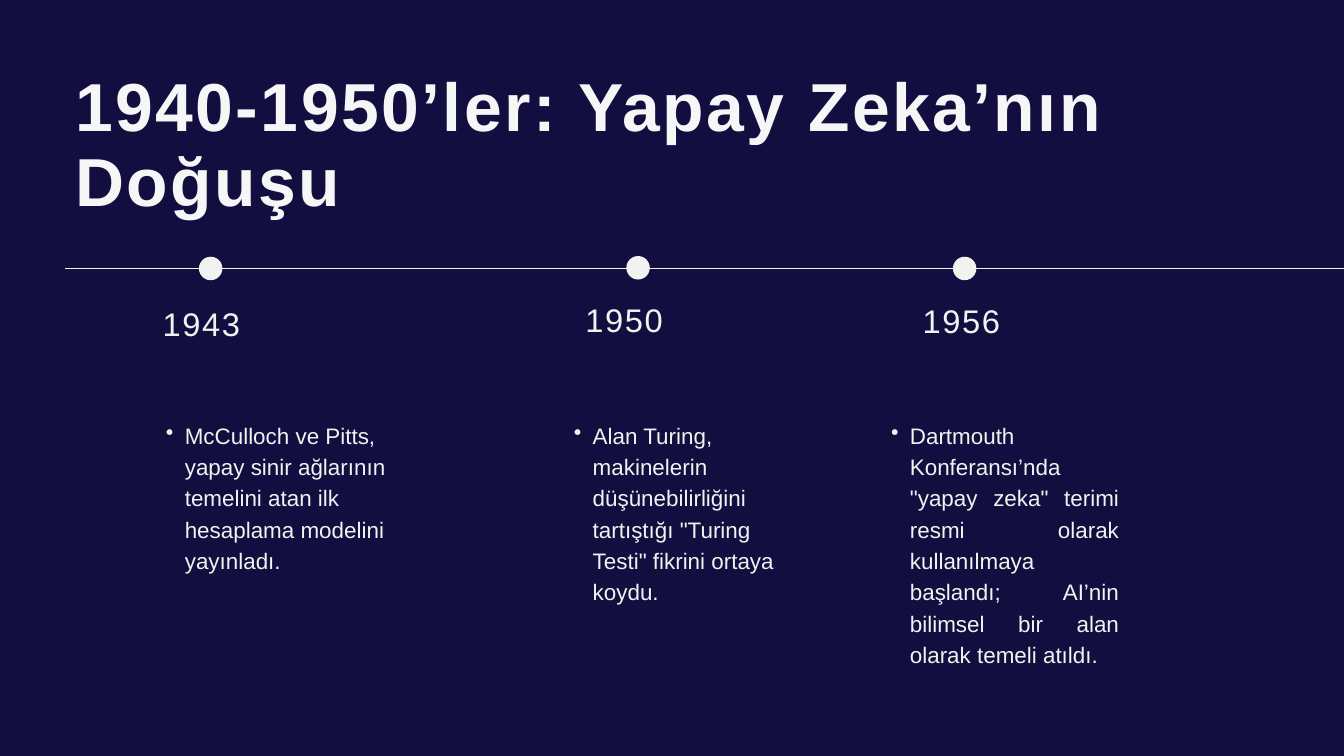
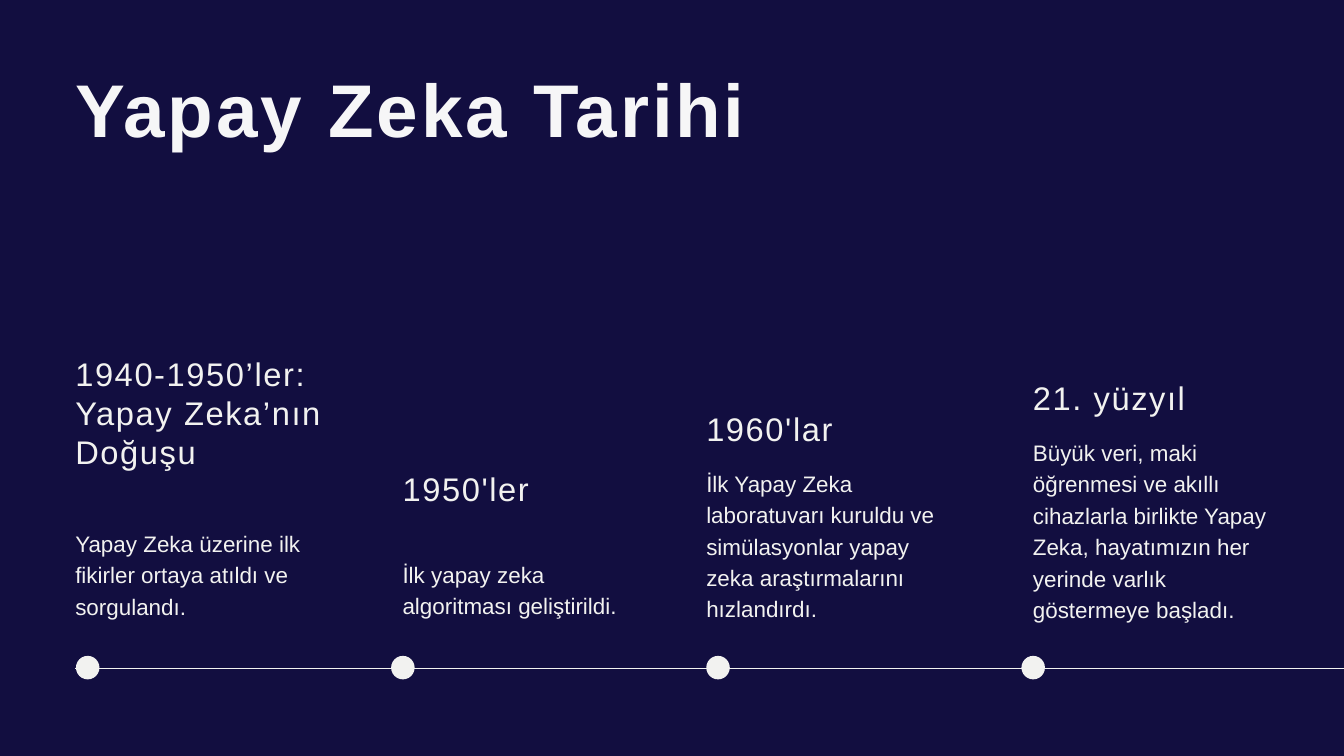
import pptx
import pptx.util
import pptx.dml.color
import pptx.enum.shapes
import pptx.enum.text
import pptx.oxml.ns
import lxml.etree

Inches = pptx.util.Inches
Pt = pptx.util.Pt
RGBColor = pptx.dml.color.RGBColor
Align = pptx.enum.text.PP_ALIGN

NAVY = RGBColor(0x12, 0x0E, 0x40)
TITLE_WHITE = RGBColor(0xF6, 0xF6, 0xF7)
SOFT_WHITE = RGBColor(0xF2, 0xF2, 0xF0)
DOT_SIZE = 0.35
COLUMN_WIDTH = 3.68
MARGIN = 1.12

HEADING = {"size": 35, "leading": 42, "tracking": 1.7}
BODY = {"size": 24, "leading": 33.6}

BIRTH_EVENTS = [
    {"year": "1943", "dot": (2.96, 3.82), "year_at": (2.42, 4.52),
     "body_left": 2.18, "height": 2.79, "align": Align.LEFT,
     "body": "McCulloch ve Pitts, yapay sinir ağlarının temelini atan ilk "
             "hesaplama modelini yayınladı."},
    {"year": "1950", "dot": (9.32, 3.81), "year_at": (8.71, 4.46),
     "body_left": 8.25, "height": 2.79, "align": Align.LEFT,
     "body": "Alan Turing, makinelerin düşünebilirliğini tartıştığı "
             "\"Turing Testi\" fikrini ortaya koydu."},
    {"year": "1956", "dot": (14.18, 3.82), "year_at": (13.73, 4.48),
     "body_left": 12.97, "height": 3.7, "align": Align.JUSTIFY,
     "body": "Dartmouth Konferansı’nda \"yapay zeka\" terimi resmi olarak "
             "kullanılmaya başlandı; AI’nin bilimsel bir alan olarak temeli atıldı."},
]

ERAS = [
    {"name": "1940-1950’ler: Yapay Zeka’nın Doğuşu", "left": 1.12,
     "name_top": 5.26, "name_height": 2.36, "body_height": 1.41,
     "body": ["Yapay Zeka üzerine ilk fikirler ortaya atıldı ve sorgulandı."]},
    {"name": "1950'ler", "left": 5.99,
     "name_top": 6.98, "name_height": 0.65, "body_height": 0.95,
     "body": ["İlk yapay zeka algoritması geliştirildi."]},
    {"name": "1960'lar", "left": 10.51,
     "name_top": 6.08, "name_height": 0.63, "body_height": 2.3,
     "body": ["İlk Yapay Zeka laboratuvarı kuruldu ve simülasyonlar yapay zeka "
              "araştırmalarını hızlandırdı."]},
    {"name": "21. yüzyıl", "left": 15.37,
     "name_top": 5.62, "name_height": 0.63, "body_height": 2.76,
     "body": ["Büyük veri, maki öğrenmesi ve akıllı cihazlarla birlikte Yapay "
              "Zeka, hayatımızın her yerinde varlık", "göstermeye başladı."]},
]


def apply_format(target, values):
    """Set each named attribute on the target."""
    for name, value in values.items():
        setattr(target, name, value)


def add_bullet(para):
    """Give a paragraph a hanging round bullet."""
    properties = para._p.get_or_add_pPr()
    properties.set("marL", str(Inches(0.57)))
    properties.set("indent", str(Inches(-0.28)))
    bullet = lxml.etree.SubElement(properties, pptx.oxml.ns.qn("a:buChar"))
    bullet.set("char", "•")


def add_text(page, frame, lines, size, leading, tracking=0, color=SOFT_WHITE,
             bold=False, align=Align.LEFT, bulleted=False):
    """Place a margin-free text box with one paragraph per line."""
    box = page.shapes.add_textbox(*map(Inches, frame))
    text = box.text_frame
    apply_format(text, {
        "word_wrap": True, "margin_left": 0, "margin_right": 0,
        "margin_top": 0, "margin_bottom": 0,
        "auto_size": pptx.enum.text.MSO_AUTO_SIZE.SHAPE_TO_FIT_TEXT})
    for index, line in enumerate(lines):
        para = text.add_paragraph() if index else text.paragraphs[0]
        if bulleted:
            add_bullet(para)
        apply_format(para, {"alignment": align, "line_spacing": Pt(leading)})
        span = para.add_run()
        span.text = line
        apply_format(span.font, {"name": "Arial", "size": Pt(size), "bold": bold})
        span.font.color.rgb = color
        if tracking:
            span._r.get_or_add_rPr().set("spc", str(round(tracking * 100)))


def add_axis(page, left, top):
    """Draw the timeline from the given point to the right edge."""
    axis = page.shapes.add_connector(
        pptx.enum.shapes.MSO_CONNECTOR.STRAIGHT,
        Inches(left), Inches(top), Inches(20), Inches(top))
    axis.line.color.rgb = SOFT_WHITE
    axis.line.width = Pt(0.75)
    lxml.etree.SubElement(axis._element.spPr, pptx.oxml.ns.qn("a:effectLst"))


def add_dot(page, left, top):
    """Draw one timeline marker."""
    dot = page.shapes.add_shape(
        pptx.enum.shapes.MSO_SHAPE.OVAL,
        *map(Inches, (left, top, DOT_SIZE, DOT_SIZE)))
    dot.shadow.inherit = False
    dot.fill.solid()
    dot.fill.fore_color.rgb = SOFT_WHITE
    dot.line.fill.background()


def add_page(deck, title, frame, size, leading, tracking):
    """Add a navy page with its bold title."""
    page = deck.slides.add_slide(deck.slide_layouts[6])
    page.background.fill.solid()
    page.background.fill.fore_color.rgb = NAVY
    add_text(page, frame, [title], size, leading, tracking, TITLE_WHITE, bold=True)
    return page


def add_birth_event(page, event):
    """Place the dot, year and bulleted text of one event."""
    add_dot(page, *event["dot"])
    add_text(page, (*event["year_at"], COLUMN_WIDTH, 0.65), [event["year"]], **HEADING)
    add_text(page, (event["body_left"], 6.21, COLUMN_WIDTH, event["height"]),
             [event["body"]], align=event["align"], bulleted=True, **BODY)


def add_era(page, era, bottom):
    """Place an era heading and its text, which rests on the bottom line."""
    height = era["body_height"]
    add_text(page, (era["left"], era["name_top"], COLUMN_WIDTH, era["name_height"]),
             [era["name"]], **HEADING)
    add_text(page, (era["left"], bottom - height, COLUMN_WIDTH, height),
             era["body"], **BODY)


def build_birth_page(deck):
    """Build the page on the birth of the field."""
    page = add_page(deck, "1940-1950’ler: Yapay Zeka’nın Doğuşu",
                    (MARGIN, 1.03, 17.93, 2.41), 72.7, 80.8, 2.7)
    add_axis(page, 0.97, 4)
    for event in BIRTH_EVENTS:
        add_birth_event(page, event)


def build_history_page(deck):
    """Build the page on the eras of the field."""
    page = add_page(deck, "Yapay Zeka Tarihi",
                    (MARGIN, 1.03, 17.75, 1.42), 80, 88.9, 3)
    add_axis(page, MARGIN, 9.94)
    for index, era in enumerate(ERAS):
        add_dot(page, 1.13 + 4.69 * index, 9.76)
        add_era(page, era, bottom=9.23)


def main():
    """Build and save the deck."""
    deck = pptx.Presentation()
    apply_format(deck, {"slide_width": Inches(20), "slide_height": Inches(11.25)})
    build_birth_page(deck)
    build_history_page(deck)
    deck.save("out.pptx")


if __name__ == "__main__":
    main()
